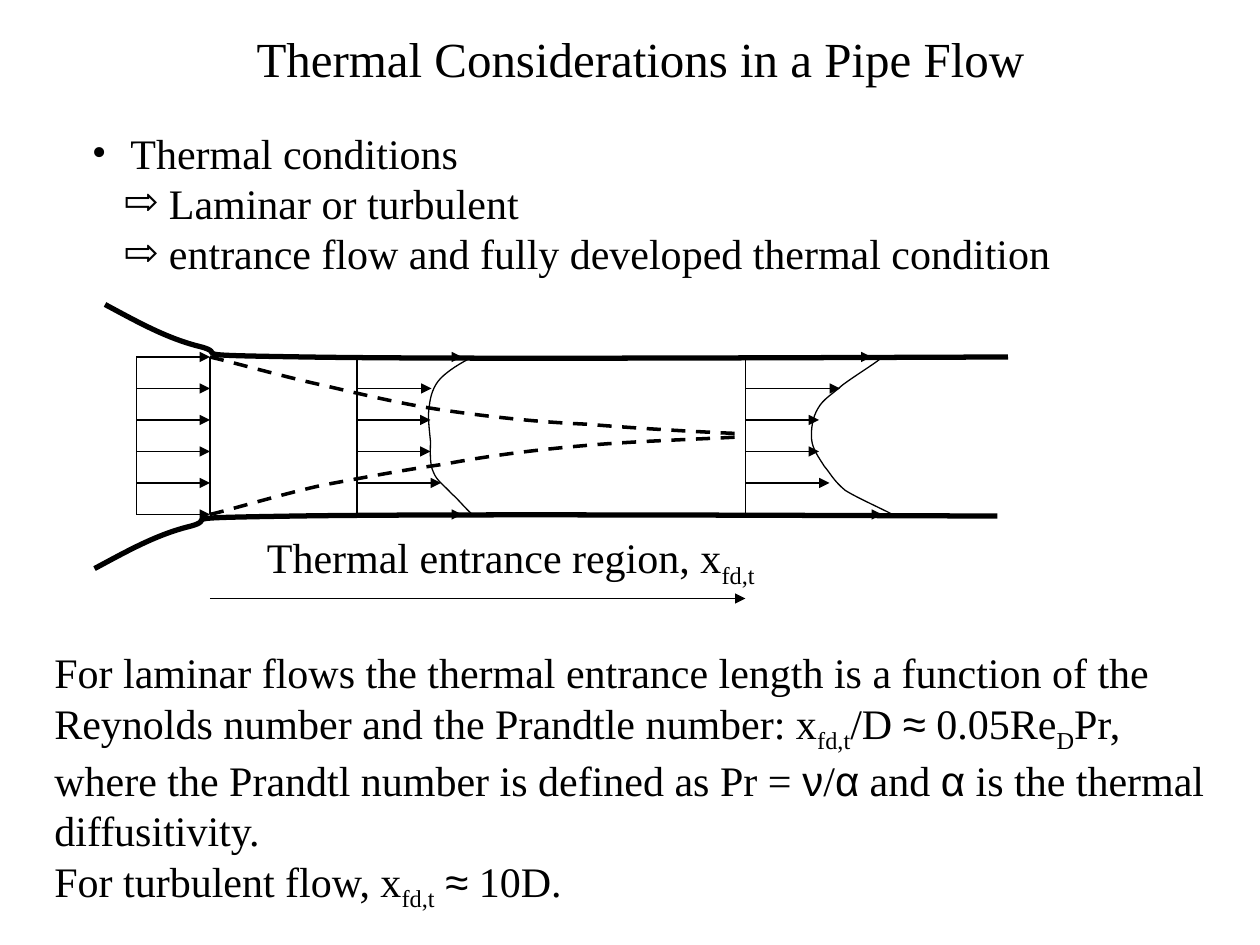
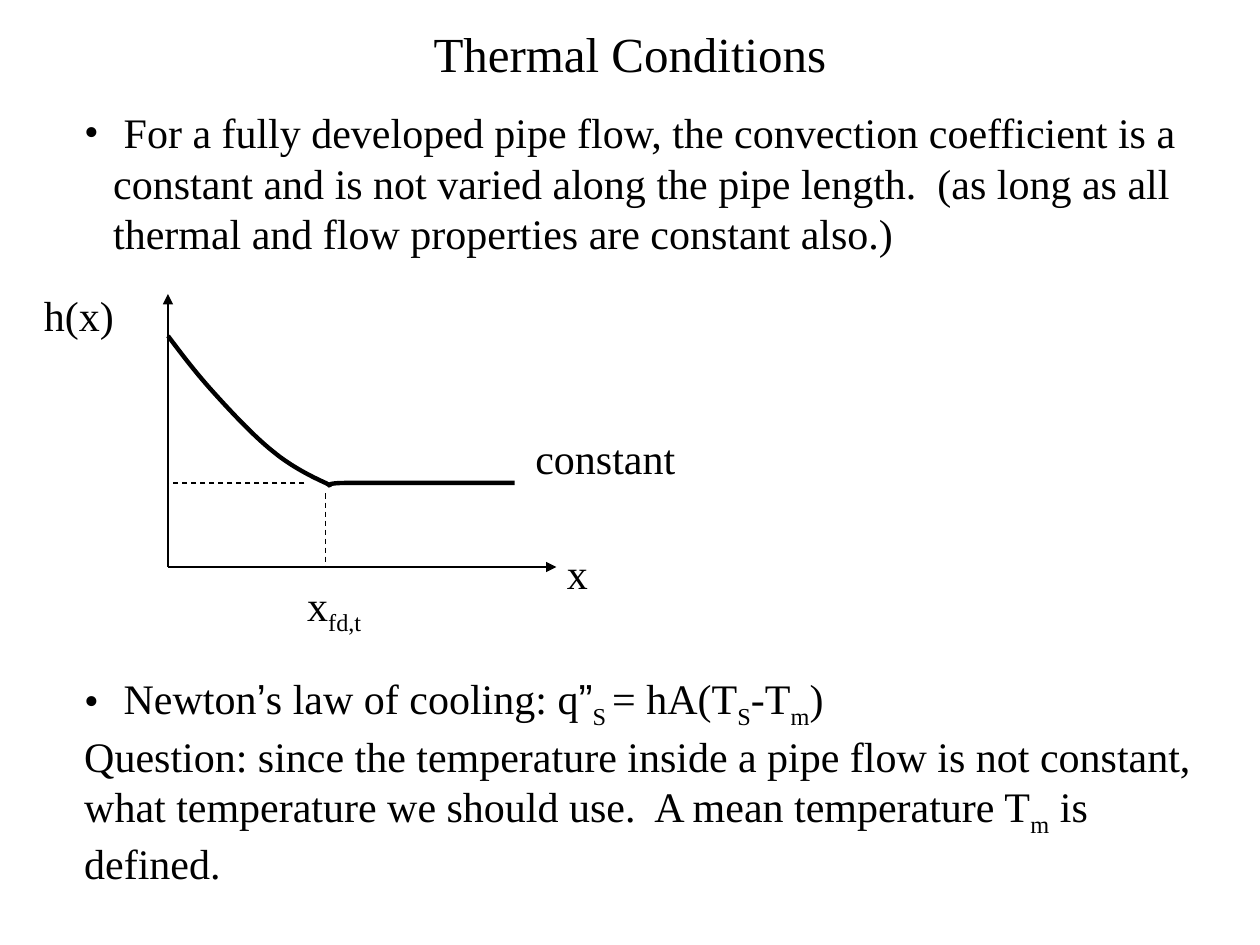
from itertools import groupby

from lxml import etree
from pptx import Presentation
from pptx.dml.color import RGBColor
from pptx.enum.dml import MSO_LINE
from pptx.enum.shapes import MSO_CONNECTOR
from pptx.enum.text import MSO_ANCHOR, MSO_AUTO_SIZE, PP_ALIGN
from pptx.oxml.ns import qn
from pptx.util import Inches, Pt

STRAIGHT = MSO_CONNECTOR.STRAIGHT
DASH = MSO_LINE.DASH
MIDDLE, TOP = MSO_ANCHOR.MIDDLE, MSO_ANCHOR.TOP
CENTER, LEFT = PP_ALIGN.CENTER, PP_ALIGN.LEFT

COLORS = {"ink": "000000", "paper": "FFFFFF"}
INK = RGBColor.from_string(COLORS["ink"])
TEXT_FONT, SYMBOL_FONT = "Times New Roman", "Arial"
SYMBOLS = "≈να’”"
INDENTS = {"•": (0.23, 0.23), "⇨": (0.5, 0.25)}  # margin and hang, inches
CELL = Inches(1) / 12  # the slide is a grid of 120 columns by 90 rows


def add_text(page, text, at, size=24, bullets="", wrap=True, title=False):
    """Write text at (left, top, width, height) inches; |bars| enclose subscripts."""
    left, top, width, height = (Inches(length) for length in at)
    if title:
        box = page.shapes.title
        box.left, box.top, box.width, box.height = left, top, width, height
    else:
        box = page.shapes.add_textbox(left, top, width, height)
    frame = box.text_frame
    frame.word_wrap = wrap
    frame.auto_size = MSO_AUTO_SIZE.NONE if title else MSO_AUTO_SIZE.SHAPE_TO_FIT_TEXT
    frame.vertical_anchor = MIDDLE if title else TOP
    for row, line in enumerate(text.split("\n")):
        para = frame.add_paragraph() if row else frame.paragraphs[0]
        para.alignment = CENTER if title else LEFT
        if row < len(bullets):
            margin, hang = INDENTS[bullets[row]]
            para.level = 1 if bullets[row] == "⇨" else 0
            properties = para._p.get_or_add_pPr()
            properties.set("marL", str(Inches(margin)))
            properties.set("indent", str(-Inches(hang)))
            etree.SubElement(properties, qn("a:buFont")).set("typeface", TEXT_FONT)
            etree.SubElement(properties, qn("a:buChar")).set("char", bullets[row])
        for part, words in enumerate(line.split("|")):
            for is_symbol, letters in groupby(words, lambda letter: letter in SYMBOLS):
                span = para.add_run()
                span.text = "".join(letters)
                span.font.name = SYMBOL_FONT if is_symbol else TEXT_FONT
                span.font.size = Pt(size)
                span.font.color.rgb = INK
                if part % 2:
                    span.font._element.set("baseline", "-25000")


def add_stroke(page, points, width=0.75, dashed=False, arrow=False):
    """Draw a straight line through two grid points, or cubic curves through more."""
    points = [(round(x * CELL), round(y * CELL)) for x, y in points]
    straight = len(points) == 2
    if straight:
        start, end = points
        stroke = page.shapes.add_connector(STRAIGHT, *start, *end)
    else:
        builder = page.shapes.build_freeform(*points[0], scale=1.0)
        builder.add_line_segments(points[1:], close=False)
        stroke = builder.convert_to_shape()
        stroke.fill.background()
        stroke.shadow.inherit = False
        # Each three line segments become the handles and end of one curve
        segments = list(stroke.element.iter(qn("a:lnTo")))
        outline = segments[0].getparent()
        for first in range(0, len(segments), 3):
            curve = etree.SubElement(outline, qn("a:cubicBezTo"))
            for segment in segments[first:first + 3]:
                curve.append(segment[0])
                outline.remove(segment)
    stroke.line.color.rgb = INK
    stroke.line.width = Pt(width)
    if dashed:
        stroke.line.dash_style = DASH
    properties = stroke.element.spPr
    if arrow:
        etree.SubElement(properties.find(qn("a:ln")), qn("a:tailEnd")).set("type", "triangle")
    if straight:
        etree.SubElement(properties, qn("a:effectLst"))


deck = Presentation()
deck.slide_width, deck.slide_height = Inches(10), Inches(7.5)
title_only = deck.slide_layouts[5]
pages = []
for heading, at in [
    ("Thermal Considerations in a Pipe Flow", (10 / 12, 0, 8.5, 11 / 12)),
    ("Thermal Conditions", (9 / 12, 0, 8.5, 10 / 12)),
]:
    page = deck.slides.add_slide(title_only)
    page.background.fill.solid()
    page.background.fill.fore_color.rgb = RGBColor.from_string(COLORS["paper"])
    add_text(page, heading, at, size=28, title=True)
    pages.append(page)
pipe_page, condition_page = pages

# Slide 1: conditions
add_text(pipe_page,
         " Thermal conditions\n Laminar or turbulent\n"
         " entrance flow and fully developed thermal condition",
         (0.63, 0.96, 8.11, 1.3), bullets="•⇨⇨", wrap=False)

# Pipe walls: the lower one mirrors the upper one, one column to the left
upper_wall = [(10, 29), (13, 30.6), (15.8, 32.2), (19, 33),
              (22.2, 33.8), (16.2, 33.8), (29, 34),
              (41.9, 34.2), (68.9, 34.1), (96, 34)]
lower_wall = [(x - 1, 83.15 - y) for x, y in upper_wall]
for wall in (upper_wall, lower_wall):
    add_stroke(pipe_page, wall, width=3)

# Sections across the pipe, each with the tips of its six arrows
pipe_top, pipe_bottom, arrow_gap = 34, 49, 3
sections = {
    13: [20] * 6,
    20: [],
    34: [44, 41.1, 41, 41, 42, 44],
    71: [83, 80, 78, 78, 79, 84],
}
for column, tips in sections.items():
    add_stroke(pipe_page, [(column, pipe_top), (column, pipe_bottom)])
    for index, tip in enumerate(tips):
        row = pipe_top + index * arrow_gap
        add_stroke(pipe_page, [(column, row), (tip, row)], arrow=True)

# Temperature profiles
developing_profile = [
    (45, 34), (43.8, 34.6), (42.7, 35.3), (42, 36),
    (41.3, 36.7), (41, 37.7), (40.9, 38.6),
    (40.7, 39.6), (40.9, 40.9), (41, 42),
    (41, 43.1), (40.9, 44.2), (41.3, 45),
    (41.6, 45.8), (42.4, 46.3), (43, 47),
    (43.7, 47.6), (44.3, 48.4), (45, 49)]
developed_profile = [
    (83.8, 34.2), (83.2, 34.7), (81.1, 36), (80.2, 36.7),
    (79.2, 37.6), (78.4, 38), (77.9, 38.9),
    (77.4, 39.7), (77.2, 40.9), (77.3, 41.9),
    (77.4, 42.8), (78, 43.6), (78.5, 44.4),
    (79.1, 45.1), (79.4, 45.8), (80.5, 46.7),
    (81.6, 47.4), (84.1, 48.5), (85, 49)]
for profile in (developing_profile, developed_profile):
    add_stroke(pipe_page, profile)

# Thermal boundary layers
lower_layer = [(20, 49), (21.8, 48.6), (27.1, 47), (30.8, 46.2),
               (34.6, 45.5), (38.2, 44.8), (42.4, 44.2),
               (46.6, 43.4), (51.4, 42.8), (56.2, 42.4),
               (60.8, 42), (67.6, 41.8), (70.7, 41.6)]
upper_layer = [(20, 34), (21.8, 34.4), (27.1, 35.9), (30.8, 36.7),
               (34.7, 37.6), (38.3, 38.5), (42.5, 39.1),
               (46.7, 39.7), (51.2, 40.2), (55.9, 40.4),
               (60.6, 40.8), (67.6, 41.2), (70.7, 41.3)]
for layer in (lower_layer, upper_layer):
    add_stroke(pipe_page, layer, width=2, dashed=True)

# Entrance length
add_stroke(pipe_page, [(20, 57), (71, 57)], arrow=True)
add_text(pipe_page, "Thermal entrance region, x|fd,t|", (2.02, 4.17, 4.07, 0.56), wrap=False)
add_text(pipe_page,
         "For laminar flows the thermal entrance length is a function of the "
         "Reynolds number and the Prandtle number: x|fd,t|/D ≈ 0.05Re|D|Pr, "
         "where the Prandtl number is defined as Pr = ν/α and α is the thermal "
         "diffusitivity.\nFor turbulent flow, x|fd,t| ≈ 10D.",
         (4 / 12, 61 / 12, 113 / 12, 2.21))

# Slide 2: convection coefficient
add_text(condition_page,
         " For a fully developed pipe flow, the convection coefficient is a "
         "constant and is not varied along the pipe length.  (as long as all "
         "thermal and flow properties are constant also.)",
         (0.57, 0.8, 9.18, 1.3), bullets="•")

# Guides, axes and curve of h(x)
origin = (16, 54)
for guide in ([(29, 46), (16, 46)], [(31, 47), (31, 54)]):
    add_stroke(condition_page, guide, dashed=True)
for axis_end in ((16, 28), (53, 54)):
    add_stroke(condition_page, [origin, axis_end], arrow=True)
coefficient_curve = [(16, 32), (17.2, 33.6), (18.4, 35.2), (20, 37),
                     (21.7, 38.9), (24.1, 41.5), (26, 43),
                     (27.8, 44.5), (29.9, 45.5), (31, 46),
                     (32.2, 46.6), (30, 46), (33, 46),
                     (36, 46), (42.5, 46), (49, 46)]
add_stroke(condition_page, coefficient_curve, width=2.5)

# Graph labels
for label, at in [
    ("x", (4.4, 4.3, 0.36, 0.5)),
    ("h(x)", (0.25, 2.25, 0.77, 0.5)),
    ("x|fd,t|", (2.34, 4.55, 0.63, 0.56)),
    ("constant", (4.15, 3.38, 1.31, 0.5)),
]:
    add_text(condition_page, label, at, wrap=False)

# Law of cooling
add_text(condition_page,
         " Newton’s law of cooling: q”|S |= hA(T|S|-T|m|)\n"
         "Question: since the temperature inside a pipe flow is not constant, "
         "what temperature we should use.  A mean temperature T|m| is defined.",
         (0.57, 5.29, 9.18, 1.81), bullets="•")

deck.save("out.pptx")
